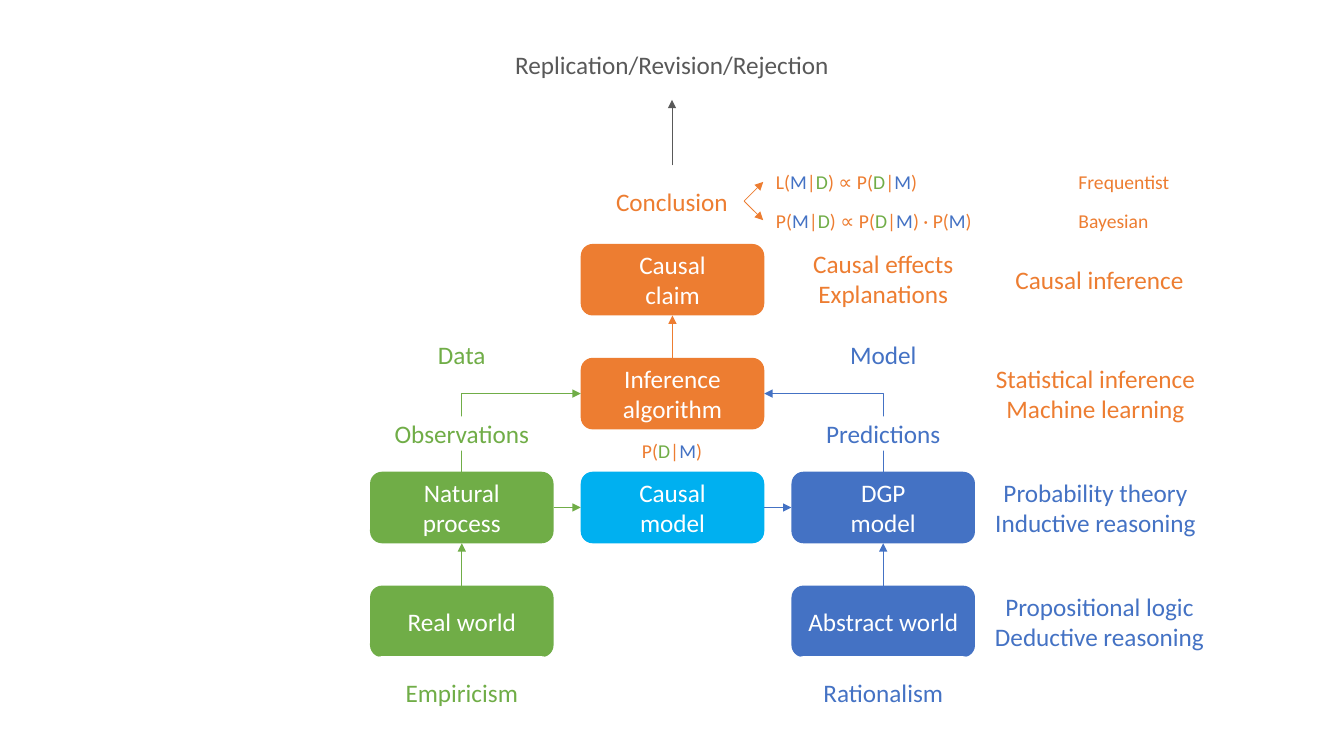
from itertools import groupby

from lxml import etree
from pptx import Presentation
from pptx import util as u
from pptx.dml.color import RGBColor
from pptx.enum import shapes, text
from pptx.oxml import ns

COLORS = {
    "orange": "ED7D31", "green": "70AD47", "blue": "4472C4",
    "cyan": "00B0F0", "gray": "595959", "white": "FFFFFF",
}
SYMBOLS = {"M": "blue", "D": "green"}  # model and data inside formulas

# Grid of the diagram, in inches; rows count upwards from the bottom
COLUMNS = [3.67 + 2.09 * i for i in range(3)]
ROWS = [5.81 - 1.13 * i for i in range(4)]
BOX_W, BOX_H = 1.82, 0.71
TOP, BOTTOM, LEFT, RIGHT = 0, 2, 1, 3  # connection sites

deck = Presentation()
deck.slide_width, deck.slide_height = u.Inches(13.33), u.Inches(7.5)
slide = deck.slides.add_slide(deck.slide_layouts[5])


def add_text(words, left, top, width=BOX_W, height=BOX_H, ink="white", fill=None,
             size=18, align=text.PP_ALIGN.CENTER, symbols=None, tab=None, holder=None):
    if holder is None:
        holder = slide.shapes.add_shape(shapes.MSO_SHAPE.ROUNDED_RECTANGLE, 0, 0, 0, 0)
        holder.shadow.inherit = False
        holder.line.fill.background()
        if fill:
            holder.fill.solid()
            holder.fill.fore_color.rgb = RGBColor.from_string(COLORS[fill])
        else:
            holder.fill.background()
    holder.left, holder.top = u.Inches(left), u.Inches(top)
    holder.width, holder.height = u.Inches(width), u.Inches(height)
    frame = holder.text_frame
    frame.word_wrap = True
    frame.auto_size = text.MSO_AUTO_SIZE.NONE
    frame.vertical_anchor = text.MSO_ANCHOR.MIDDLE
    paragraph = frame.paragraphs[0]
    paragraph.alignment = align
    if tab:
        stops = etree.SubElement(paragraph._p.get_or_add_pPr(), ns.qn("a:tabLst"))
        etree.SubElement(stops, ns.qn("a:tab"), pos=str(u.Inches(tab)), algn="l")
    for number, line in enumerate(words.split("\n")):
        if number:
            paragraph.add_line_break()
        for color, letters in groupby(line, lambda c: (symbols or {}).get(c, ink)):
            run = paragraph.add_run()
            run.text = "".join(letters)
            run.font.name, run.font.size = "Calibri", u.Pt(size)
            run.font.color.rgb = RGBColor.from_string(COLORS[color])
    return holder


def link(start, start_site, end, end_site, color, bend=None):
    kind = shapes.MSO_CONNECTOR.ELBOW if bend else shapes.MSO_CONNECTOR.STRAIGHT
    arrow = slide.shapes.add_connector(kind, 0, 0, 0, 0)
    arrow.begin_connect(start, start_site)
    arrow.end_connect(end, end_site)
    arrow.line.color.rgb = RGBColor.from_string(COLORS[color])
    arrow.line.width = u.Pt(0.5)
    properties = arrow.element.spPr
    if bend:
        # One corner: turn the frame about its centre
        wide, tall = arrow.width, arrow.height
        arrow.left += (wide - tall) // 2
        arrow.top += (tall - wide) // 2
        arrow.width, arrow.height = tall, wide
        properties.find(ns.qn("a:prstGeom")).set("prst", "bentConnector2")
        for name, value in bend.items():
            properties.find(ns.qn("a:xfrm")).set(name, value)
    etree.SubElement(properties.find(ns.qn("a:ln")), ns.qn("a:tailEnd"), type="triangle")
    etree.SubElement(properties, ns.qn("a:effectLst"))


# Outcome at the top
outcome = add_text("Replication/Revision/Rejection", 4.83, 0.28, 3.67, ink="gray",
                   holder=slide.shapes.title)

# Boxes: words, column, row, fill
boxes = {}
for words, column, row, fill in [
    ("Real world", 0, 0, "green"),
    ("Abstract world", 2, 0, "blue"),
    ("Natural process", 0, 1, "green"),
    ("Causal\nmodel", 1, 1, "cyan"),
    ("DGP\nmodel", 2, 1, "blue"),
    ("Inference\nalgorithm", 1, 2, "orange"),
    ("Causal\nclaim", 1, 3, "orange"),
]:
    boxes[words] = add_text(words, COLUMNS[column], ROWS[row], fill=fill)

# Conclusion and its two readings
conclusion = add_text("Conclusion", 5.95, 1.64, 1.43, ink="orange")
readings = [
    add_text(words, 7.57, 1.52 + 0.38 * i, 4.34, 0.57, ink="orange", size=14,
             align=text.PP_ALIGN.LEFT, symbols=SYMBOLS, tab=3)
    for i, words in enumerate(["L(M|D) ∝ P(D|M)\tFrequentist",
                               "P(M|D) ∝ P(D|M) · P(M)\tBayesian"])
]

# Arrows
natural, causal, dgp = boxes["Natural process"], boxes["Causal\nmodel"], boxes["DGP\nmodel"]
inference, claim = boxes["Inference\nalgorithm"], boxes["Causal\nclaim"]
link(boxes["Real world"], TOP, natural, BOTTOM, "green")
link(boxes["Abstract world"], TOP, dgp, BOTTOM, "blue")
link(natural, RIGHT, causal, LEFT, "green")
link(causal, RIGHT, dgp, LEFT, "blue")
link(natural, TOP, inference, LEFT, "green",
     bend={"rot": "5400000", "flipH": "1", "flipV": "1"})
link(dgp, TOP, inference, RIGHT, "blue",
     bend={"rot": "16200000", "flipH": "0", "flipV": "1"})
link(inference, TOP, claim, BOTTOM, "orange")
link(conclusion, TOP, outcome, BOTTOM, "gray")
for reading in readings:
    link(conclusion, RIGHT, reading, LEFT, "orange")

# Labels of the green and blue branches
for column, ink, source, signal, school in [
    (0, "green", "Data", "Observations", "Empiricism"),
    (2, "blue", "Model", "Predictions", "Rationalism"),
]:
    add_text(source, COLUMNS[column], 3.16, ink=ink)
    add_text(signal, COLUMNS[column], 4.13, height=0.34, ink=ink, fill="white")
    add_text(school, COLUMNS[column], 6.51, ink=ink, fill="white")

# Likelihood and results beside the central column
add_text("P(D|M)", 6.21, 4.3, 0.91, 0.34, ink="orange", size=14, symbols=SYMBOLS,
         holder=slide.shapes.add_textbox(0, 0, 0, 0))
add_text("Causal effects\nExplanations", COLUMNS[2], 2.49, height=0.55, ink="orange")

# Method of each row
for row, (words, left, width, ink) in enumerate([
    ("Propositional logic\nDeductive reasoning", 9.71, 2.39, "blue"),
    ("Probability theory\nInductive reasoning", 9.62, 2.49, "blue"),
    ("Statistical inference\nMachine learning", 9.62, 2.49, "orange"),
    ("Causal inference", 9.71, 2.39, "orange"),
]):
    add_text(words, left, ROWS[row], width, ink=ink)

deck.save("out.pptx")
